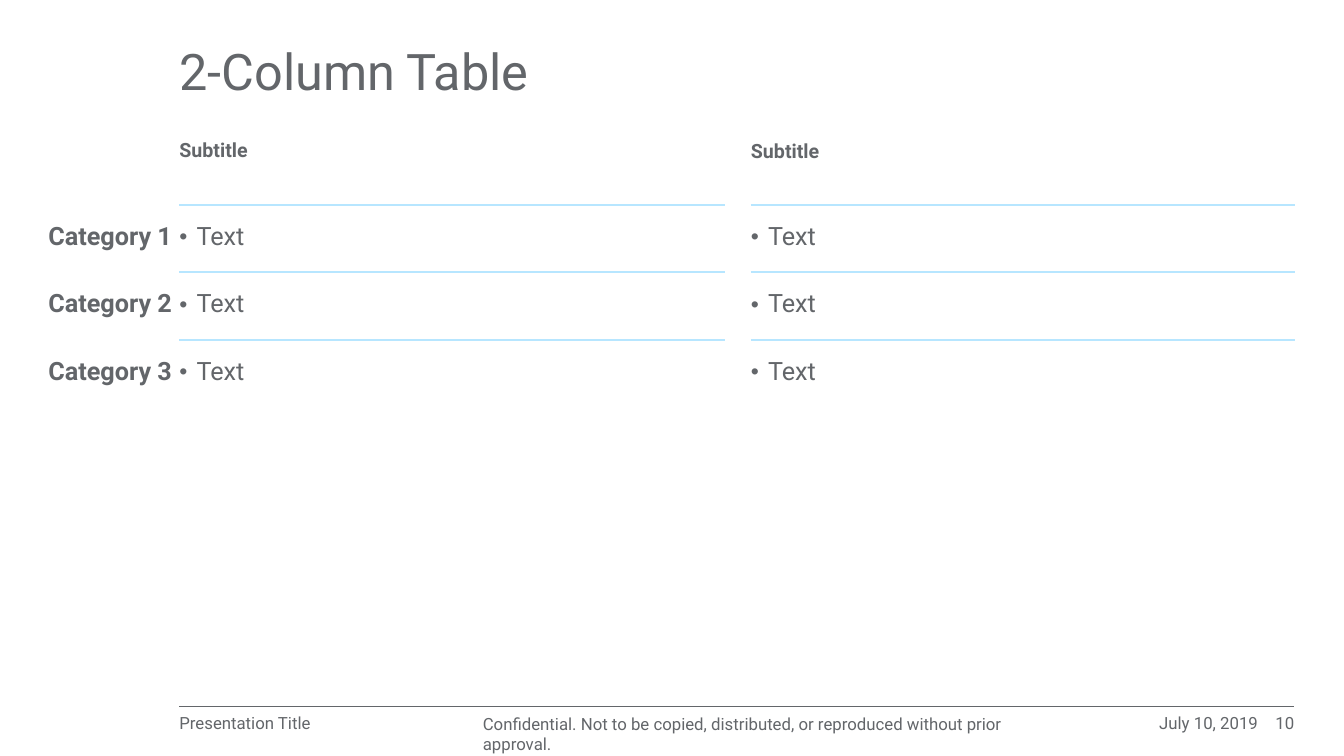
from pptx import Presentation
from pptx.dml.color import RGBColor as Rgb
from pptx.enum.shapes import MSO_CONNECTOR as Conn
from pptx.enum.text import MSO_ANCHOR as Anchor, PP_ALIGN as Align
from pptx.oxml import parse_xml
from pptx.oxml.ns import nsdecls, qn
from pptx.util import Inches, Pt

INK = {"text": "63666A", "rule": "B7E6FF"}
FONT = "Roboto"
LEFT, RIGHT = 17.8, 128.4
HEAD, FOOT = 12.4, 70.8


class Deck:
    """Hold the style and current slide on a grid of tenth-inch columns and rows."""

    def __init__(self, wide, high):
        """Start a deck with one blank slide."""
        self.prs = Presentation()
        self.prs.slide_width = self.unit(wide)
        self.prs.slide_height = self.unit(high)
        self.slide = self.prs.slides.add_slide(self.prs.slide_layouts[6])

    def unit(self, count):
        """Turn grid steps into a length."""
        return Inches(count / 10)

    def run(self, para, words, size, bold=False):
        """Add one styled run."""
        run = para.add_run()
        run.text = words
        font = run.font
        font.name, font.size, font.bold = FONT, Pt(size), bold
        font.color.rgb = Rgb.from_string(INK["text"])

    def text(self, words, box, size=12, bold=False, anchor=Anchor.TOP,
             align=Align.LEFT, lead=0.99):
        """Add a text box without insets."""
        frame = self.slide.shapes.add_textbox(*map(self.unit, box)).text_frame
        frame.word_wrap = True
        frame.vertical_anchor = anchor
        frame.margin_left = frame.margin_right = 0
        frame.margin_top = frame.margin_bottom = 0
        para = frame.paragraphs[0]
        para.alignment, para.line_spacing = align, lead
        self.run(para, words, size, bold)

    def line(self, start, end, row):
        """Add a thin level line."""
        ends = map(self.unit, (start, row, end, row))
        line = self.slide.shapes.add_connector(Conn.STRAIGHT, *ends)
        line.line.color.rgb = Rgb.from_string(INK["text"])
        line.line.width = Pt(0.25)
        line._element.spPr.append(parse_xml(f"<a:effectLst {nsdecls('a')}/>"))

    def bullet(self, para):
        """Give a paragraph a hanging bullet."""
        props = para._p.get_or_add_pPr()
        props.set("marL", str(Inches(0.17)))
        props.set("indent", str(-Inches(0.17)))
        for tag in ('buSzPct val="91000"', 'buFont typeface="Arial"', 'buChar char="•"'):
            props.append(parse_xml(f"<a:{tag} {nsdecls('a')}/>"))

    def edges(self, cell, sides):
        """Rule the named sides of a cell and leave the others clear."""
        props = cell._tc.get_or_add_tcPr()
        for place, side in enumerate("LRTB"):
            fill = "<a:noFill/>"
            if side in sides:
                fill = f'<a:solidFill><a:srgbClr val="{INK["rule"]}"/></a:solidFill>'
            props.insert(place, parse_xml(
                f'<a:ln{side} {nsdecls("a")} w="{Pt(1.5)}">{fill}</a:ln{side}>'))

    def table(self, rows, widths, left, top, high):
        """Add a ruled table with bold row heads and bulleted cells."""
        box = map(self.unit, (left, top, sum(widths), high * len(rows)))
        grid = self.slide.shapes.add_table(len(rows), len(widths), *box).table
        grid.first_row = grid.horz_banding = False
        for col, wide in zip(grid.columns, widths):
            col.width = self.unit(wide)
        for r, row in enumerate(rows):
            for c, words in enumerate(row):
                cell = grid.cell(r, c)
                cell.fill.background()
                cell.margin_left = cell.margin_right = 0
                cell.margin_top, cell.margin_bottom = Inches(0.17), Inches(0.2)
                ruled = "TB" if r < len(rows) - 1 else "T"
                self.edges(cell, ruled if c and words else "")
                if words:
                    para = cell.text_frame.paragraphs[0]
                    if c:
                        self.bullet(para)
                    self.run(para, words, 18, bold=c == 0)


def main():
    """Build and save the slide."""
    deck = Deck(133.33, 75)
    deck.text("2-Column Table", (LEFT, 2.4, 98.4, 10), 36, anchor=Anchor.MIDDLE, lead=0.9)
    for left, lead in ((LEFT, 0.99), (74.5, 0.9)):
        deck.text("Subtitle", (left, HEAD, 54, 3.7), 14, True, Anchor.BOTTOM, lead=lead)
    rows = [(f"Category {n}", "Text", "", "Text") for n in range(1, 4)]
    deck.table(rows, (13, 54.1, 2.6, 54), 4.8, 20.3, 6)
    deck.line(LEFT, RIGHT, 70.1)
    deck.text("Presentation Title", (LEFT, FOOT, 29.4, 2))
    deck.text("Confidential. Not to be copied, distributed, or reproduced without prior approval.",
              (47.9, FOOT, 56.4, 2), lead=1.0)
    deck.text("July 10, 2019", (104.3, FOOT, 20.5, 2), align=Align.RIGHT)
    deck.text("10", (124.8, FOOT, 3.6, 2), align=Align.RIGHT)
    deck.prs.save("out.pptx")


if __name__ == "__main__":
    main()
